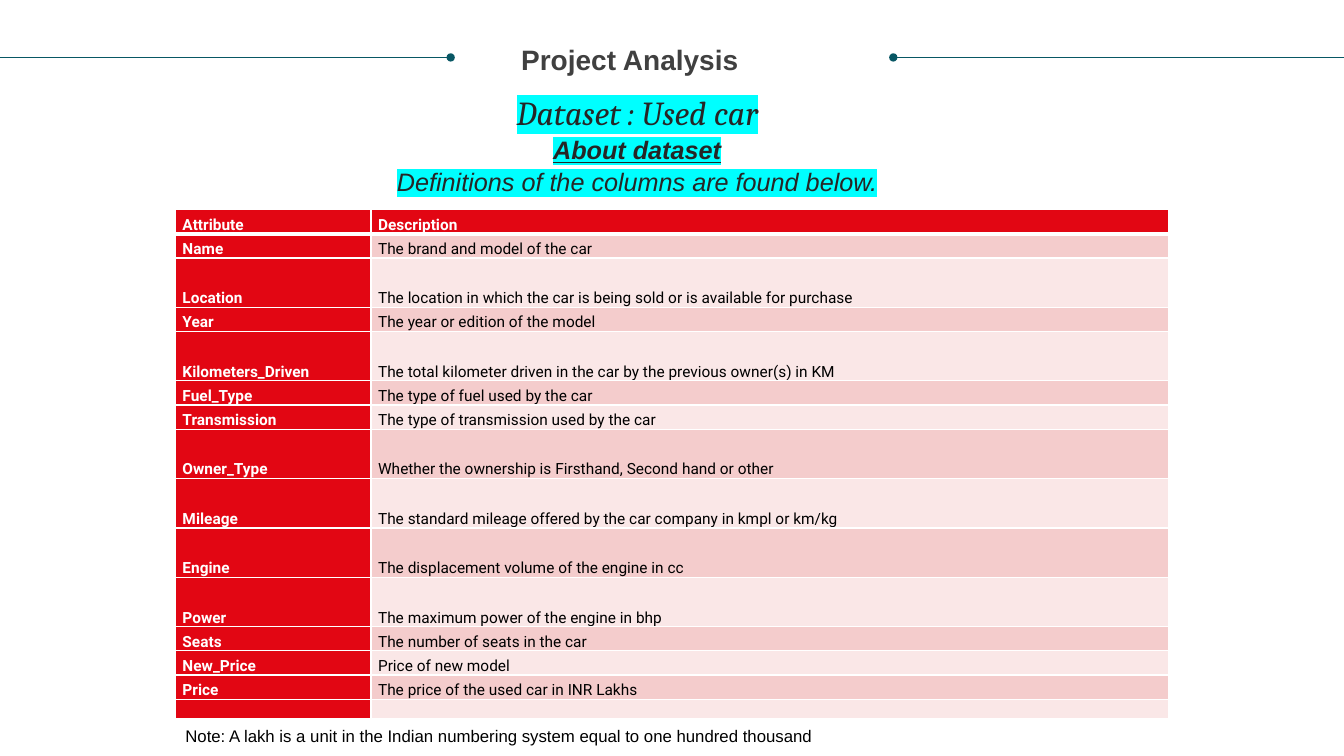
from lxml.etree import SubElement
from pptx import Presentation
from pptx.dml.color import RGBColor
from pptx.enum.shapes import MSO_CONNECTOR
from pptx.enum.text import MSO_ANCHOR, PP_ALIGN
from pptx.oxml import parse_xml
from pptx.oxml.ns import nsdecls, qn
from pptx.util import Inches, Pt

rows = [
    ("Attribute", "Description", 0.24),
    ("Name", "The brand and model of the car", 0.24),
    ("Location", "The location in which the car is being sold or is available for purchase", 0.49),
    ("Year", "The year or edition of the model", 0.24),
    ("Kilometers_Driven", "The total kilometer driven in the car by the previous owner(s) in KM", 0.49),
    ("Fuel_Type", "The type of fuel used by the car", 0.24),
    ("Transmission", "The type of transmission used by the car", 0.24),
    ("Owner_Type", "Whether the ownership is Firsthand, Second hand or other", 0.49),
    ("Mileage", "The standard mileage offered by the car company in kmpl or km/kg", 0.49),
    ("Engine", "The displacement volume of the engine in cc", 0.49),
    ("Power", "The maximum power of the engine in bhp", 0.49),
    ("Seats", "The number of seats in the car", 0.24),
    ("New_Price", "Price of new model", 0.24),
    ("Price", "The price of the used car in INR Lakhs", 0.24),
    ("", "", 0.19),
]
title = [("Project Analysis", "title")]
intro = [
    ("Dataset : Used car", "name"),
    ("About dataset", "about"),
    ("Definitions of the columns are found below.", "lead"),
]
note = [("Note: A lakh is a unit in the Indian numbering system equal to one hundred thousand", "note")]
rules = [(8.86, 13.33, "headEnd"), (0, 4.47, "tailEnd")]
widths = (1.94, 7.91)

theme = {
    "rule": "085764", "mark": "00FFFF", "red": "E20613", "edge": "FFFFFF",
    "bands": ("FAE7E7", "F4CCCC"),
    "title": ("404040", dict(name="Arial", size=Pt(20), bold=True)),
    "name": ("262626", dict(name="Cambria", size=Pt(24), italic=True)),
    "about": ("262626", dict(name="Arial", size=Pt(18), bold=True, italic=True, underline=True)),
    "lead": ("262626", dict(name="Arial", size=Pt(18), italic=True)),
    "note": ("000000", dict(name="Arial", size=Pt(12))),
    "head": ("FFFFFF", dict(name="Roboto", size=Pt(11), bold=True)),
    "body": ("000000", dict(name="Roboto", size=Pt(11))),
}


def put(item, values):
    for key, value in values.items():
        setattr(item, key, value)


def write(para, text, style, mark=None):
    run = para.add_run()
    run.text = text
    color, values = theme[style]
    put(run.font, values)
    run.font.color.rgb = RGBColor.from_string(color)
    if mark:
        glow = parse_xml(f'<a:highlight {nsdecls("a")}><a:srgbClr val="{mark}"/></a:highlight>')
        run.font.fill._xPr.find(qn("a:solidFill")).addnext(glow)


def label(slide, area, lines, frame, form, mark=None):
    box = slide.shapes.add_textbox(*map(Inches, area)).text_frame
    put(box, dict(word_wrap=True, **frame))
    para = box.paragraphs[0]
    put(para, form)
    for i, (text, style) in enumerate(lines):
        if i:
            para.add_line_break()
        write(para, text, style, mark)


def rule(slide, start, end, tip):
    line = slide.shapes.add_connector(
        MSO_CONNECTOR.STRAIGHT, Inches(start), Inches(0.57), Inches(end), Inches(0.57))
    line.line.color.rgb = RGBColor.from_string(theme["rule"])
    line.line.width = Pt(0.5)
    SubElement(line.line._get_or_add_ln(), qn(f"a:{tip}"), type="oval")
    SubElement(line._element.spPr, qn("a:effectLst"))


def edge(cell, sides):
    props = cell._tc.get_or_add_tcPr()
    for i, (side, width) in enumerate(sides.items()):
        props.insert(i, parse_xml(
            f'<a:ln{side} {nsdecls("a")} w="{Pt(width)}"><a:solidFill>'
            f'<a:srgbClr val="{theme["edge"]}"/></a:solidFill></a:ln{side}>'))


def grid(slide):
    high = sum(row[2] for row in rows)
    area = map(Inches, (1.74, 2.08, sum(widths), high))
    table = slide.shapes.add_table(len(rows), len(widths), *area).table
    for col, width in zip(table.columns, widths):
        col.width = Inches(width)
    for r, (*texts, tall) in enumerate(rows):
        table.rows[r].height = Inches(tall)
        for c, text in enumerate(texts):
            cell = table.cell(r, c)
            put(cell, dict(margin_left=Inches(0.07), margin_right=Inches(0.07),
                           margin_top=0, margin_bottom=0, vertical_anchor=MSO_ANCHOR.BOTTOM))
            red = r == 0 or c == 0
            cell.fill.solid()
            cell.fill.fore_color.rgb = RGBColor.from_string(
                theme["red"] if red else theme["bands"][r % 2])
            edge(cell, dict(L=1, R=1, T=3 if r == 1 else 1, B=3 if r == 0 else 1))
            para = cell.text_frame.paragraphs[0]
            if text:
                para.line_spacing = 1.15 if r else 1.07
                write(para, text, "head" if red else "body")
            else:
                SubElement(para._p, qn("a:endParaRPr"), sz="1100")


def main():
    deck = Presentation()
    put(deck, dict(slide_width=Inches(13.33), slide_height=Inches(7.5)))
    slide = deck.slides.add_slide(deck.slide_layouts[6])
    for item in rules:
        rule(slide, *item)
    label(slide, (5.07, 0.37, 2.92, 0.44), title, {}, {})
    label(slide, (0.82, 0.91, 11, 0.9), intro,
          dict(vertical_anchor=MSO_ANCHOR.MIDDLE, margin_top=Inches(0.17)),
          dict(alignment=PP_ALIGN.CENTER, line_spacing=1.07), theme["mark"])
    grid(slide)
    label(slide, (1.74, 7.15, 11, 0.3), note, dict(vertical_anchor=MSO_ANCHOR.MIDDLE), {})
    deck.save("out.pptx")


if __name__ == "__main__":
    main()
